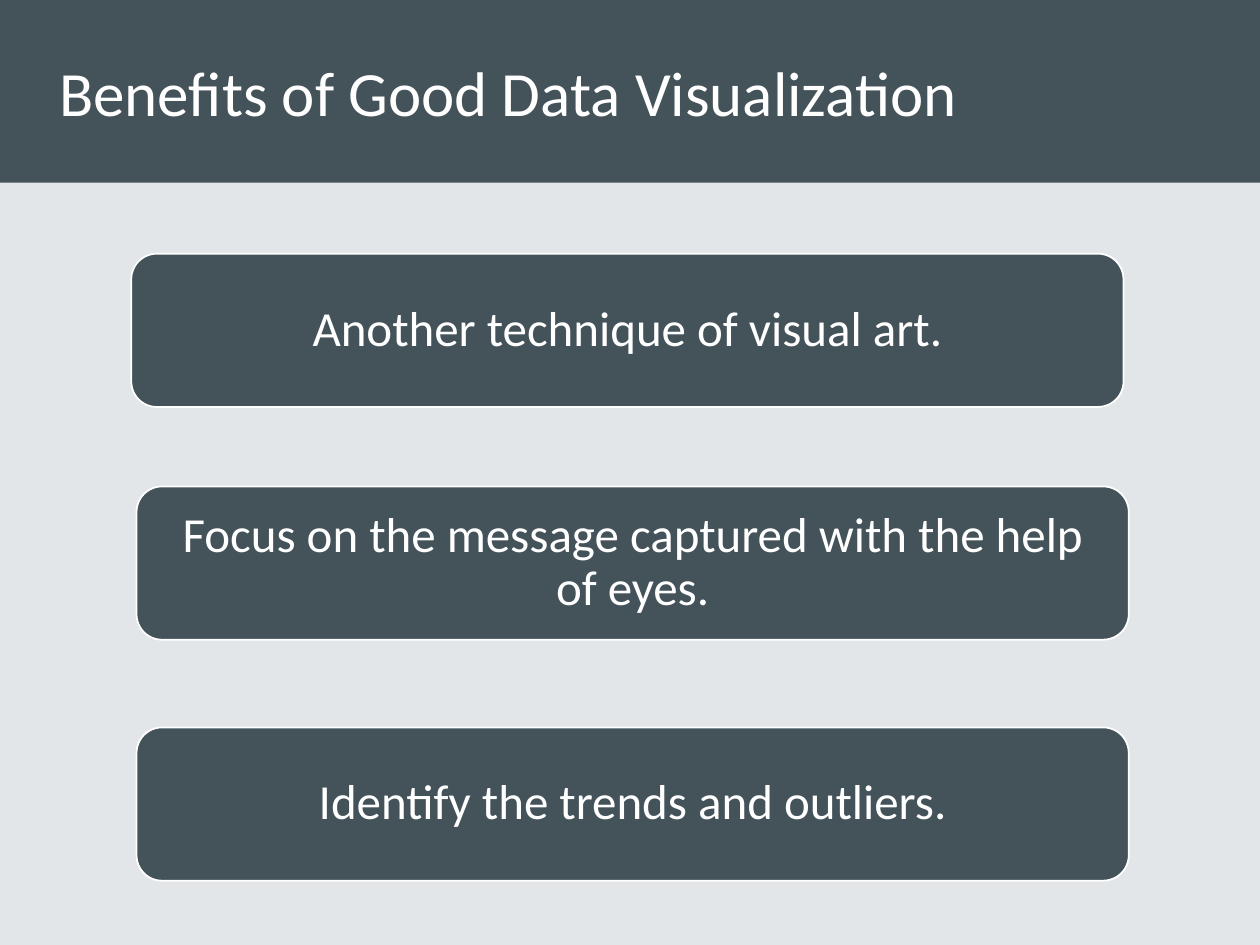
from pptx import Presentation
from pptx.dml.color import RGBColor
from pptx.enum import shapes, text
from pptx.util import Pt

SLATE, WHITE, PALE = "44525A", "FFFFFF", "E2E6E9"


def rgb(value):
    return RGBColor.from_string(value)


def write(tf, content, size, align, inset=7.2, spacing=1.0):
    """Put one white, vertically centred paragraph into a text frame."""
    tf.word_wrap = True
    tf.vertical_anchor = text.MSO_ANCHOR.MIDDLE
    tf.margin_left = tf.margin_right = Pt(inset)
    tf.margin_top = tf.margin_bottom = Pt(inset)
    p = tf.paragraphs[0]
    p.alignment = align
    p.line_spacing = spacing
    r = p.add_run()
    r.text = content
    r.font.name = "Calibri"
    r.font.size = Pt(size)
    r.font.color.rgb = rgb(WHITE)


prs = Presentation()
prs.slide_width, prs.slide_height = Pt(720), Pt(540)
s = prs.slides.add_slide(prs.slide_layouts[6])
s.background.fill.solid()
s.background.fill.fore_color.rgb = rgb(PALE)

# Title band
band = s.shapes.add_shape(shapes.MSO_SHAPE.RECTANGLE, 0, 0, Pt(720), Pt(104.4))
band.shadow.inherit = False
band.fill.solid()
band.fill.fore_color.rgb = rgb(SLATE)
band.line.fill.background()
title = s.shapes.add_textbox(Pt(26.8), 0, Pt(660), Pt(104.4))
write(title.text_frame, "Benefits of Good Data Visualization", 36, text.PP_ALIGN.LEFT)

# Benefit cards: left, top, wording
cards = [
    (75, 145, "Another technique of visual art."),
    (78, 278, "Focus on the message captured with the help of eyes."),
    (78, 415.7, "Identify the trends and outliers."),
]
for left, top, benefit in cards:
    sp = s.shapes.add_shape(shapes.MSO_SHAPE.ROUNDED_RECTANGLE,
                            Pt(left), Pt(top), Pt(567), Pt(87.6))
    sp.shadow.inherit = False
    sp.fill.solid()
    sp.fill.fore_color.rgb = rgb(SLATE)
    sp.line.color.rgb = rgb(WHITE)
    sp.line.width = Pt(1)
    write(sp.text_frame, benefit, 28, text.PP_ALIGN.CENTER, inset=8.6, spacing=0.9)

prs.save("out.pptx")
